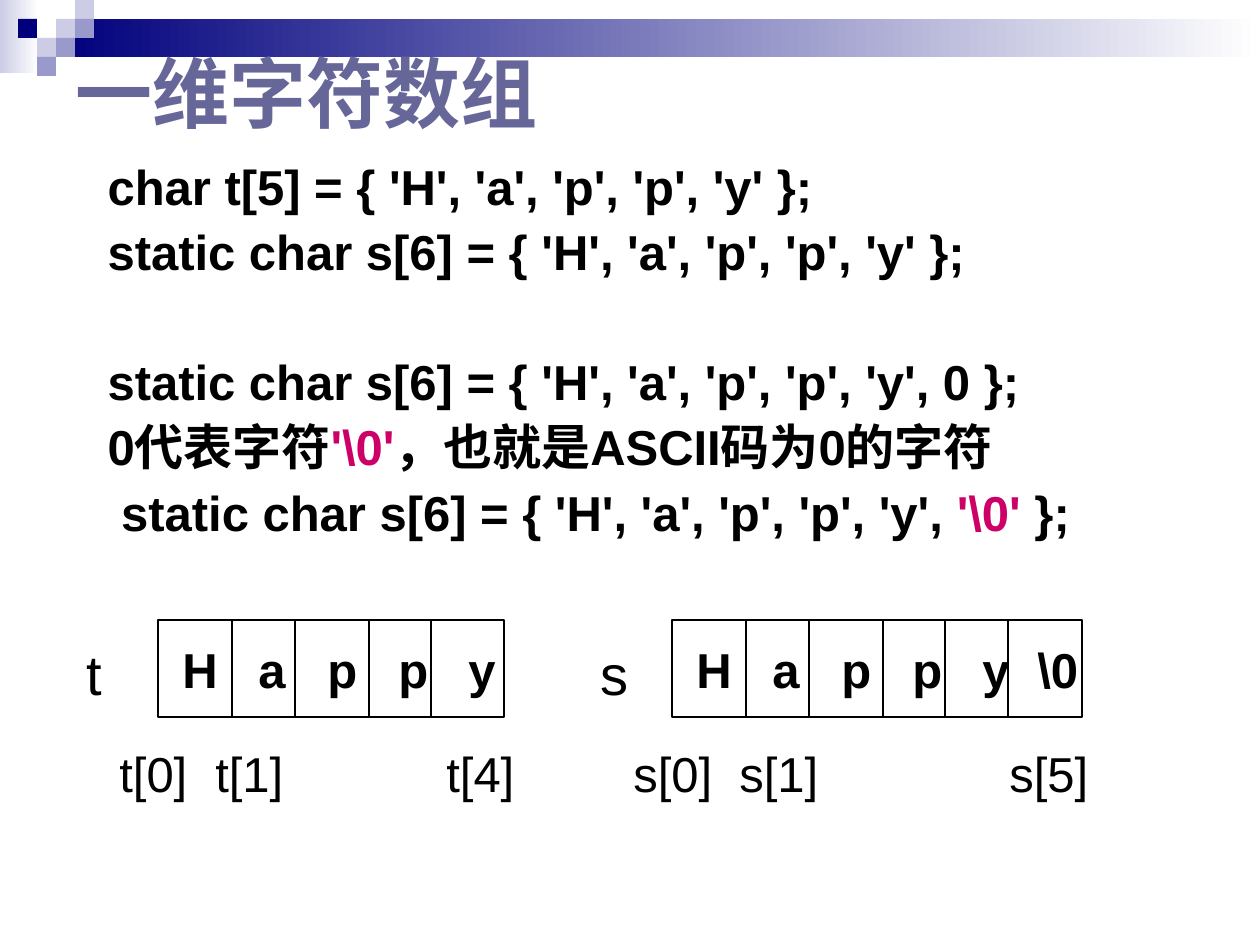
"""Build a slide on one-dimensional character arrays in C."""
from dataclasses import dataclass

import pptx
import pptx.dml.color
import pptx.enum.shapes
import pptx.enum.text
import pptx.oxml.ns
import pptx.util
from lxml import etree

PIXELS_PER_INCH = 126
COLORS = {
    "navy": "00007D", "lavender": "CCCCE6", "violet": "9999CC", "white": "FFFFFF",
    "title": "666699", "text": "000000", "accent": "CC0066",
}
CELL_EDGES = (74, 137, 211, 273, 336)
LETTER_STOPS = (12, 88, 157, 228, 298, 353)
ARRAY_TOP, ARRAY_HEIGHT = 620, 97


@dataclass
class Square:
    column: int
    row: int
    color: str


@dataclass
class CodeLine:
    segments: tuple[str, ...]
    space_before: int = 7


@dataclass
class CharArray:
    name: str
    left: int
    width: int
    letters: tuple[str, ...]
    labels: tuple[str, ...]
    label_stops: tuple[int, ...]


SQUARES = [
    Square(2, 1, "lavender"), Square(3, 0, "lavender"), Square(3, 1, "violet"),
    Square(1, 2, "lavender"), Square(0, 1, "navy"), Square(2, 2, "violet"),
    Square(1, 3, "violet"),
]
CODE_LINES = [
    CodeLine(("char t[5] = { 'H', 'a', 'p', 'p', 'y' };",), 0),
    CodeLine(("static char s[6] = { 'H', 'a', 'p', 'p', 'y' };",)),
    CodeLine(("static char s[6] = { 'H', 'a', 'p', 'p', 'y', 0 };",), 44),
    CodeLine(("0代表字符", "'\\0'", "，也就是ASCII码为0的字符")),
    CodeLine((" static char s[6] = { 'H', 'a', 'p', 'p', 'y', ", "'\\0' ", "};")),
]
ARRAYS = [
    CharArray("s", 672, 410, ("H", "a", "p", "p", "y", "\\0"),
              ("s[0]", "s[1]", "s[5]"), (12, 118, 388)),
    CharArray("t", 158, 346, ("H", "a", "p", "p", "y"),
              ("t[0]", "t[1]", "t[4]"), (12, 108, 339)),
]


def px(length: int) -> int:
    return round(length * pptx.util.Inches(1) / PIXELS_PER_INCH)


def rgb(name: str) -> pptx.dml.color.RGBColor:
    return pptx.dml.color.RGBColor.from_string(COLORS[name])


def style(font, size: int, color: str = "text", bold: bool = False) -> None:
    font.name, font.size, font.bold = "Arial", pptx.util.Pt(size), bold
    font.color.rgb = rgb(color)


def place(shape, left: int, top: int, width: int, height: int) -> None:
    shape.left, shape.top, shape.width, shape.height = map(px, (left, top, width, height))


def add_rectangle(shapes, left: int, top: int, width: int, height: int):
    shape = shapes.add_shape(pptx.enum.shapes.MSO_SHAPE.RECTANGLE,
                             *map(px, (left, top, width, height)))
    shape.shadow.inherit = False
    shape.line.fill.background()
    return shape


def add_gradient(shapes, color: str, left: int, top: int, width: int, height: int) -> None:
    fill = add_rectangle(shapes, left, top, width, height).fill
    fill.gradient()
    fill.gradient_angle = 0
    for stop, name in zip(fill.gradient_stops, (color, "white")):
        stop.color.rgb = rgb(name)


def add_decoration(shapes) -> None:
    add_gradient(shapes, "lavender", 0, 0, 39, 73)
    add_gradient(shapes, "navy", 57, 19, 1203, 38)
    for square in SQUARES:
        shape = add_rectangle(shapes, 19 * square.column + 18, 19 * square.row, 19, 19)
        shape.fill.solid()
        shape.fill.fore_color.rgb = rgb(square.color)


def add_text(shapes, text: str, left: int, top: int, width: int, height: int,
             size: int, bold: bool = False, stops: tuple[int, ...] = ()) -> None:
    text_frame = shapes.add_textbox(*map(px, (left, top, width, height))).text_frame
    text_frame.word_wrap = True
    paragraph = text_frame.paragraphs[0]
    paragraph.text = text
    if stops:
        properties = paragraph._p.get_or_add_pPr()
        tabs = etree.SubElement(properties, pptx.oxml.ns.qn("a:tabLst"))
        for stop in stops:
            etree.SubElement(tabs, pptx.oxml.ns.qn("a:tab"), pos=str(px(stop)), algn="l")
    style(paragraph.runs[0].font, size, bold=bold)


def add_divider(shapes, x: int) -> None:
    line = shapes.add_connector(pptx.enum.shapes.MSO_CONNECTOR.STRAIGHT, px(x), px(ARRAY_TOP),
                                px(x), px(ARRAY_TOP + ARRAY_HEIGHT))
    line.line.width = pptx.util.Pt(1)
    line.line.color.rgb = rgb("text")
    etree.SubElement(line._element.spPr, pptx.oxml.ns.qn("a:effectLst"))


def add_array(slide, array: CharArray) -> None:
    shapes = slide.shapes.add_group_shape().shapes
    frame = add_rectangle(shapes, array.left, ARRAY_TOP, array.width, ARRAY_HEIGHT)
    frame.fill.background()
    frame.line.color.rgb = rgb("text")
    frame.line.width = pptx.util.Pt(1)
    for edge in CELL_EDGES[:len(array.letters) - 1]:
        add_divider(shapes, array.left + edge)
    add_text(shapes, array.name, array.left - 84, 633, 73, 79, 32)
    add_text(shapes, "\t" + "\t".join(array.letters), array.left, 633, 431, 71, 28,
             True, LETTER_STOPS[:len(array.letters)])
    add_text(shapes, "\t" + "\t".join(array.labels), array.left - 63, 737, 494, 71, 28,
             stops=array.label_stops)


def fill_title(title) -> None:
    place(title, 63, 31, 1008, 121)
    title.text_frame.text = "一维字符数组"
    title.text_frame.auto_size = pptx.enum.text.MSO_AUTO_SIZE.NONE
    title.text_frame.vertical_anchor = pptx.enum.text.MSO_ANCHOR.MIDDLE
    paragraph = title.text_frame.paragraphs[0]
    paragraph.alignment = pptx.enum.text.PP_ALIGN.LEFT
    style(paragraph.runs[0].font, 44, "title", True)


def fill_body(body) -> None:
    place(body, 32, 157, 1144, 425)
    text_frame = body.text_frame
    text_frame.text = "\n".join("".join(line.segments) for line in CODE_LINES)
    text_frame.auto_size = pptx.enum.text.MSO_AUTO_SIZE.NONE
    for paragraph, line in zip(text_frame.paragraphs, CODE_LINES):
        paragraph.level = 1
        paragraph.line_spacing = 0.9
        paragraph.space_before = pptx.util.Pt(line.space_before)
        properties = paragraph._p.get_or_add_pPr()
        properties.set("marL", str(px(102)))
        properties.set("indent", str(px(-39)))
        etree.SubElement(properties, pptx.oxml.ns.qn("a:buNone"))
        paragraph.clear()
        for index, segment in enumerate(line.segments):
            run = paragraph.add_run()
            run.text = segment
            style(run.font, 28, "accent" if index == 1 else "text", True)


def main() -> None:
    presentation = pptx.Presentation()
    presentation.slide_width, presentation.slide_height = px(1260), px(945)
    slide = presentation.slides.add_slide(presentation.slide_layouts[1])
    title, body = slide.placeholders
    add_decoration(slide.shapes)
    for placeholder in (title, body):
        placeholder.element.getparent().append(placeholder.element)
    fill_title(title)
    fill_body(body)
    for array in ARRAYS:
        add_array(slide, array)
    presentation.save("out.pptx")


if __name__ == "__main__":
    main()
